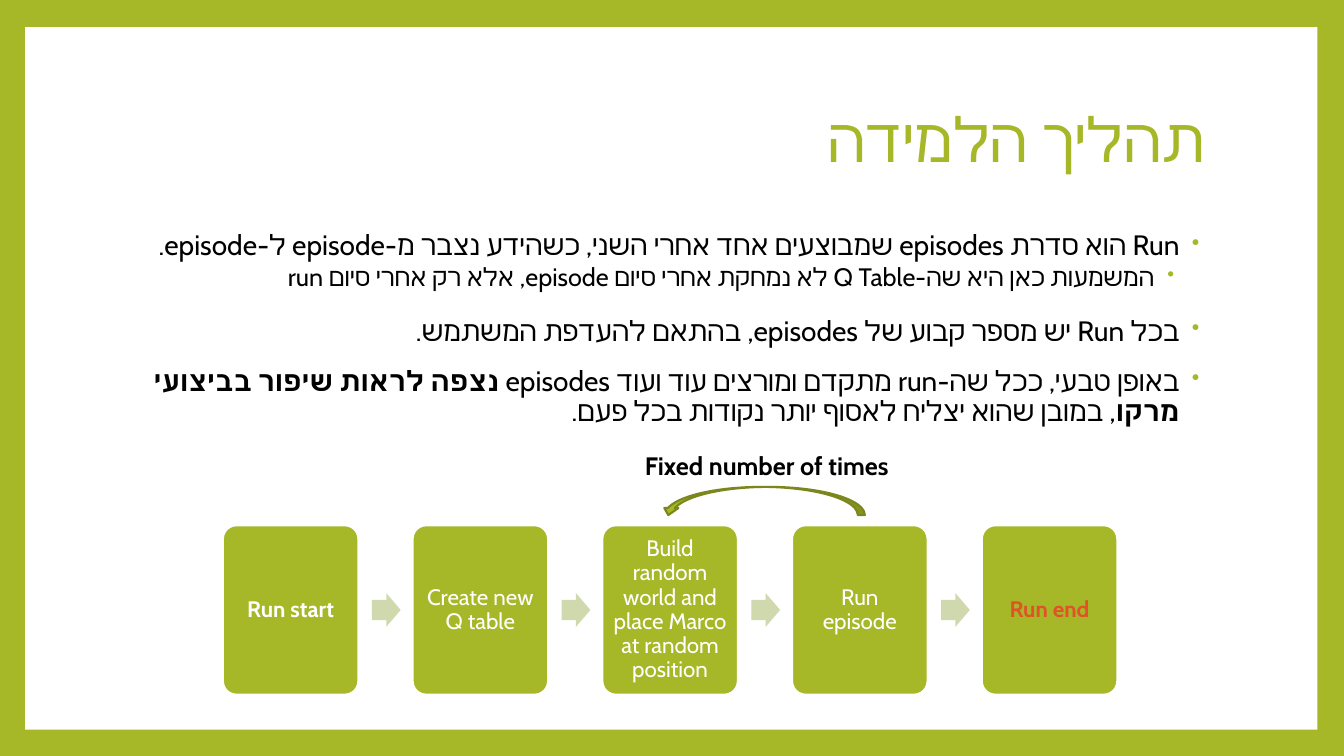
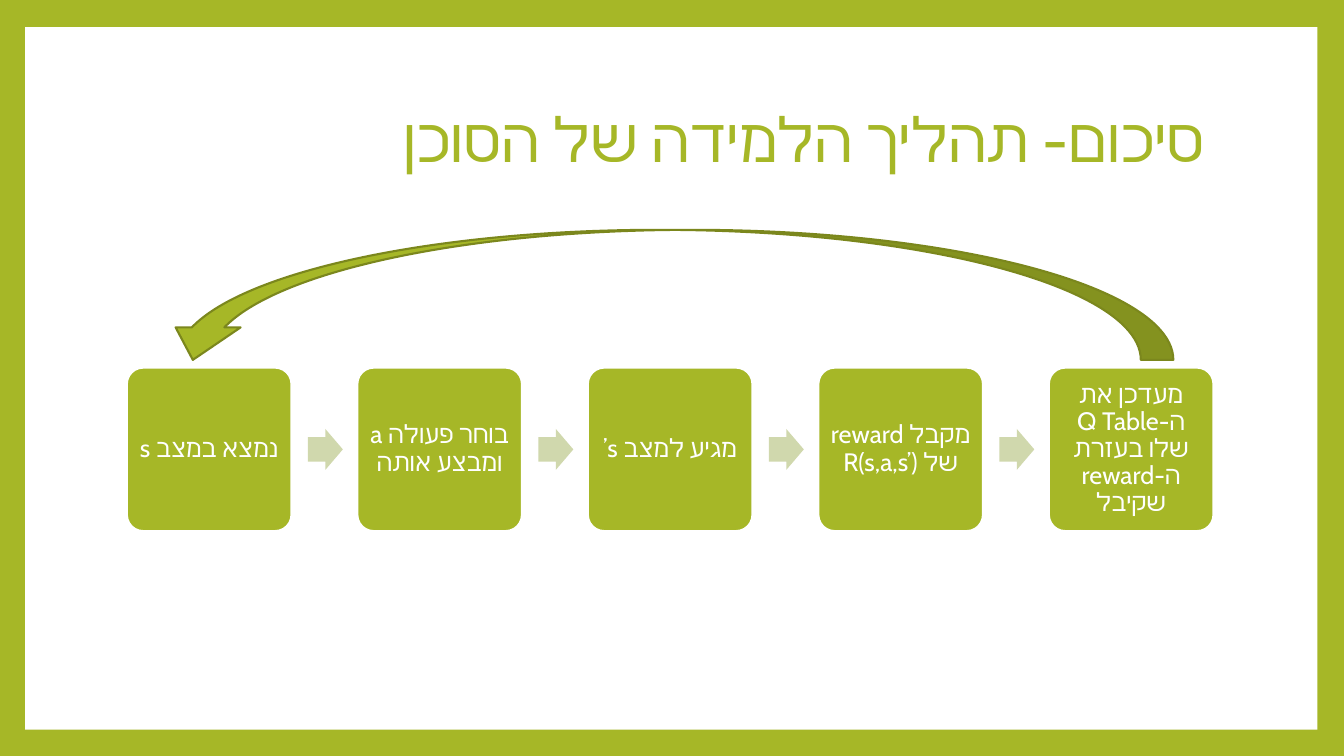
"""Build two right-to-left slides on the learning process of an agent."""
from dataclasses import dataclass
from typing import Any

from lxml import etree
from pptx import Presentation
from pptx.dml.color import RGBColor
from pptx.enum.shapes import MSO_SHAPE
from pptx.enum.text import MSO_ANCHOR, MSO_AUTO_SIZE, PP_ALIGN
from pptx.oxml.ns import qn
from pptx.util import Pt

GREEN = RGBColor(0xA6, 0xB7, 0x27)
DARK_GREEN = RGBColor(0x7B, 0x87, 0x1D)
PALE_GREEN = RGBColor(0xD0, 0xD8, 0xAD)
ORANGE = RGBColor(0xDF, 0x53, 0x27)
WHITE = RGBColor(0xFF, 0xFF, 0xFF)
BLACK = RGBColor(0, 0, 0)

RECTANGLE = MSO_SHAPE.RECTANGLE
ROUNDED = MSO_SHAPE.ROUNDED_RECTANGLE
RIGHT_ARROW = MSO_SHAPE.RIGHT_ARROW
CURVED_ARROW = MSO_SHAPE.CURVED_UP_ARROW
MIDDLE = MSO_ANCHOR.MIDDLE
NO_FIT = MSO_AUTO_SIZE.NONE
LEFT, CENTER, RIGHT = PP_ALIGN.LEFT, PP_ALIGN.CENTER, PP_ALIGN.RIGHT

FONT = "Cabin"
LINE_SPACING = 0.9
PLACE_NAMES = ("left", "top", "width", "height")
TITLE_PLACE = (90, 48.24, 777.6, 106.56)
BODY_PLACE = (90, 162, 777.6, 318.24)
PANEL_PLACE = (18, 19.44, 923.04, 501.84)

Place = tuple[float, float, float, float]


@dataclass(frozen=True)
class Span:
    """A run of text in one format."""

    text: str
    size: float
    color: RGBColor = BLACK
    bold: bool = False


@dataclass(frozen=True)
class Bullet:
    """A bulleted paragraph with its indent and spacing."""

    spans: tuple[Span, ...]
    indent: float = 18
    before: float = 14
    after: float = 0


@dataclass(frozen=True)
class Step:
    """The label of one step in a process."""

    text: str
    color: RGBColor = WHITE
    bold: bool = False


@dataclass(frozen=True)
class Process:
    """A row of steps joined by block arrows."""

    steps: tuple[Step, ...]
    left: float
    top: float
    width: float
    height: float
    size: float
    rtl: bool
    loop_place: Place


BULLETS = (
    Bullet((Span("Run הוא סדרת episodes שמבוצעים אחד אחרי השני, כשהידע נצבר מ-episode ל-episode.", 20),), before=0),
    Bullet((Span("המשמעות כאן היא שה-Q Table לא נמחקת אחרי סיום episode, אלא רק אחרי סיום run", 18),), 36, 2, 4),
    Bullet((Span("בכל Run יש מספר קבוע של episodes, בהתאם להעדפת המשתמש.", 20),)),
    Bullet((
        Span("באופן טבעי, ככל שה-run מתקדם ומורצים עוד ועוד episodes ", 20),
        Span("נצפה לראות שיפור בביצועי מרקו", 20, bold=True),
        Span(", במובן שהוא יצליח לאסוף יותר נקודות בכל פעם.", 20),
    )),
)

RUN_PROCESS = Process(
    (
        Step("Run start", bold=True),
        Step("Create new Q table"),
        Step("Build random world and place Marco at random position"),
        Step("Run episode"),
        Step("Run end", ORANGE, True),
    ),
    159.2, 375.2, 96.8, 121, 16, False, (472.32, 347.76, 145.44, 20.16),
)

AGENT_PROCESS = Process(
    (
        Step("נמצא במצב s"),
        Step("בוחר פעולה a ומבצע אותה"),
        Step("מגיע למצב s’"),
        Step("מקבל reward של R(s,a,s’)"),
        Step("מעדכן את ה-Q Table שלו בעזרת ה-reward שקיבל"),
    ),
    90.6, 262.6, 117.6, 116.8, 18, True, (114.48, 164.16, 723.6, 92.88),
)


def apply(target: Any, values: dict[str, Any]) -> None:
    """Set each named attribute on the target."""
    for name, value in values.items():
        setattr(target, name, value)


def points(place: Place) -> list[Pt]:
    """Turn a place into lengths."""
    return [Pt(value) for value in place]


def write(para: Any, spans: tuple[Span, ...], align: PP_ALIGN, rtl: bool, spacing: float = LINE_SPACING) -> None:
    """Fill a paragraph with formatted spans."""
    apply(para, {"alignment": align, "line_spacing": spacing})
    if rtl:
        para._p.get_or_add_pPr().set("rtl", "1")
    for span in spans:
        run = para.add_run()
        run.text = span.text
        apply(run.font, {"name": FONT, "size": Pt(span.size), "bold": span.bold})
        run.font.color.rgb = span.color
        etree.SubElement(run.font._element, qn("a:cs"), typeface=FONT)


def add_bullet(para: Any, bullet: Bullet) -> None:
    """Write one right-to-left bulleted paragraph."""
    properties = para._p.get_or_add_pPr()
    properties.set("marL", str(Pt(bullet.indent)))
    properties.set("indent", str(Pt(-14.4)))
    color = etree.SubElement(properties, qn("a:buClr"))
    etree.SubElement(color, qn("a:srgbClr"), val=str(GREEN))
    etree.SubElement(properties, qn("a:buSzPct"), val="80000")
    etree.SubElement(properties, qn("a:buChar"), char="•")
    apply(para, {"space_before": Pt(bullet.before), "space_after": Pt(bullet.after)})
    write(para, bullet.spans, RIGHT, True)


def add_block(page: Any, kind: MSO_SHAPE, place: Place, fill: RGBColor, line: RGBColor | None = None) -> Any:
    """Draw a flat shape with an optional outline."""
    block = page.shapes.add_shape(kind, *points(place))
    block.shadow.inherit = False
    block.fill.solid()
    block.fill.fore_color.rgb = fill
    if line is None:
        block.line.fill.background()
    else:
        block.line.color.rgb = line
        block.line.width = Pt(1.5)
    return block


def add_text(page: Any, place: Place) -> Any:
    """Add a wrapping text box and return its frame."""
    frame = page.shapes.add_textbox(*points(place)).text_frame
    frame.word_wrap = True
    return frame


def add_page(deck: Any, title: str) -> Any:
    """Add a slide with a formatted title."""
    page = deck.slides.add_slide(deck.slide_layouts[5])
    holder = page.shapes.title
    apply(holder, dict(zip(PLACE_NAMES, points(TITLE_PLACE))))
    apply(holder.text_frame, {"vertical_anchor": MIDDLE, "word_wrap": True, "auto_size": NO_FIT})
    write(holder.text_frame.paragraphs[0], (Span(title, 44, GREEN),), RIGHT, True)
    return page


def frame_layout(page: Any) -> None:
    """Give the layout a green background and a white panel."""
    layout = page.slide_layout
    layout.background.fill.solid()
    layout.background.fill.fore_color.rgb = GREEN
    panel = add_block(page, RECTANGLE, PANEL_PLACE, WHITE)
    panel.element.nvSpPr.cNvPr.set("id", "100")
    layout.shapes.element.insert(2, panel.element)


def add_process(page: Any, process: Process) -> None:
    """Draw the steps, the arrows between them and the loop back."""
    width = process.width
    arrow_width, arrow_height = 0.212 * width, 0.248 * width
    arrow_top = process.top + (process.height - arrow_height) / 2
    for index, step in enumerate(process.steps):
        left = process.left + index * 1.4 * width
        if index:
            place = (left - 0.3 * width, arrow_top, arrow_width, arrow_height)
            arrow = add_block(page, RIGHT_ARROW, place, PALE_GREEN)
            arrow.adjustments[0] = 0.6
        box = add_block(page, ROUNDED, (left, process.top, width, process.height), GREEN, WHITE)
        box.adjustments[0] = 0.1
        margins = {f"margin_{side}": Pt(5) for side in ("left", "top", "right", "bottom")}
        apply(box.text_frame, {"word_wrap": True, "vertical_anchor": MIDDLE, **margins})
        span = Span(step.text, process.size, step.color, step.bold)
        write(box.text_frame.paragraphs[0], (span,), CENTER, process.rtl)
    loop = add_block(page, CURVED_ARROW, process.loop_place, GREEN, DARK_GREEN)
    loop.rotation = 180


def main() -> None:
    """Build and save the deck."""
    deck = Presentation()
    apply(deck, {"slide_width": Pt(960), "slide_height": Pt(540)})

    page = add_page(deck, "תהליך הלמידה")
    frame_layout(page)
    body = add_text(page, BODY_PLACE)
    for index, bullet in enumerate(BULLETS):
        add_bullet(body.add_paragraph() if index else body.paragraphs[0], bullet)
    add_process(page, RUN_PROCESS)
    label = add_text(page, (453.6, 318.24, 204.48, 28.8))
    write(label.paragraphs[0], (Span("Fixed number of times", 18, bold=True),), LEFT, False, 1.0)

    page = add_page(deck, "סיכום- תהליך הלמידה של הסוכן")
    add_process(page, AGENT_PROCESS)
    deck.save("out.pptx")


if __name__ == "__main__":
    main()
